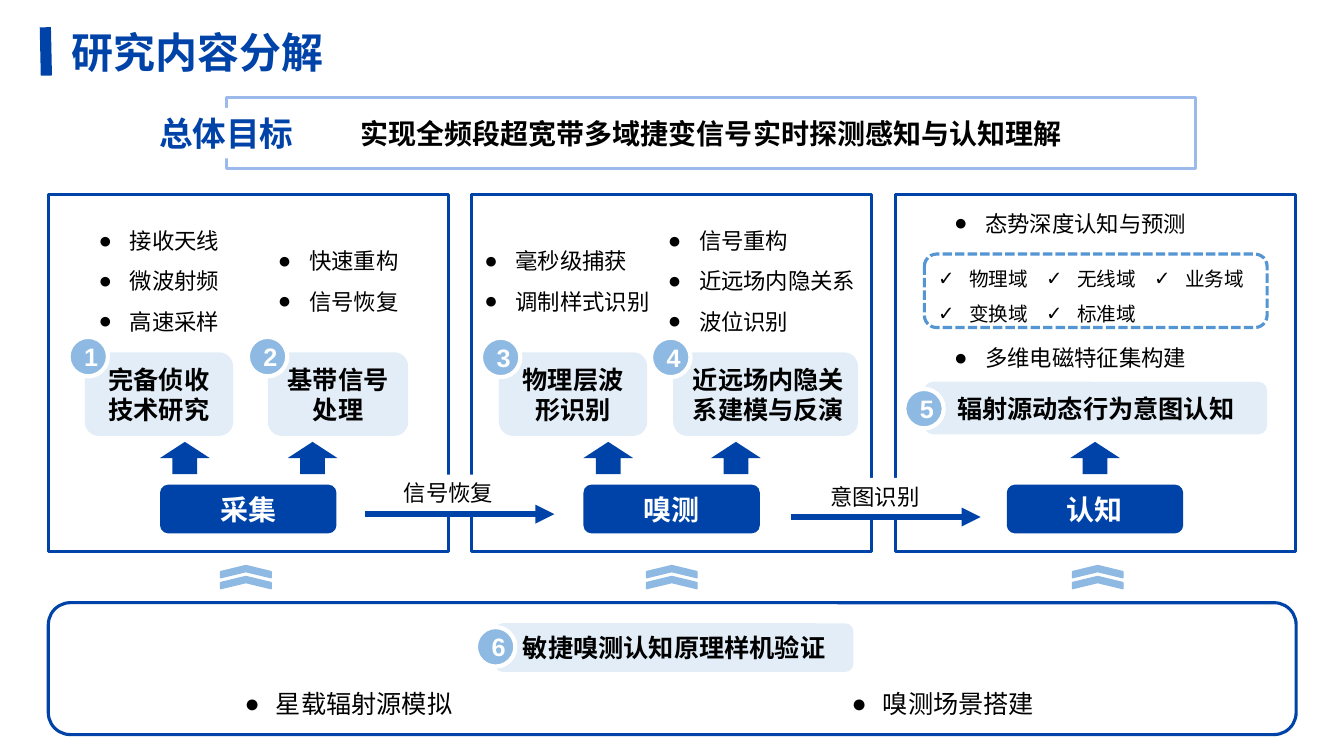
from dataclasses import dataclass
from typing import Optional

import lxml.etree
import pptx
import pptx.dml.color
import pptx.enum.dml
import pptx.enum.shapes
import pptx.enum.text
import pptx.oxml.ns
import pptx.util

COLORS = {
    "navy": "0043A8", "sky": "8DB9E2", "pale": "E2EDF7", "frame": "9CB9EB",
    "dash": "5495D3", "white": "FFFFFF", "black": "000000",
}
CJK = "Noto Sans CJK SC"
PRESET = pptx.enum.shapes.MSO_SHAPE
ALIGN = pptx.enum.text.PP_ALIGN
ANCHOR = pptx.enum.text.MSO_ANCHOR
COLUMNS, ROWS = 160, 90
PANEL_LEFT, PANEL_PITCH = 5.76, 50.4

presentation = pptx.Presentation()
presentation.slide_width = pptx.util.Inches(13.33)
presentation.slide_height = pptx.util.Inches(7.5)
slide = presentation.slides.add_slide(presentation.slide_layouts.get_by_name("Comparison"))


@dataclass
class Box:
    column: float
    row: float
    width: float
    height: float

    def emu(self) -> tuple[int, int, int, int]:
        across = presentation.slide_width / COLUMNS
        down = presentation.slide_height / ROWS
        return (round(self.column * across), round(self.row * down),
                round(self.width * across), round(self.height * down))


@dataclass
class Style:
    size: float = 18
    bold: bool = True
    color: str = "black"
    font: str = CJK
    align: ALIGN = ALIGN.CENTER
    anchor: ANCHOR = ANCHOR.MIDDLE
    spacing: float = 1.0
    bullet: Optional[str] = None
    gap: float = 0


@dataclass
class Topic:
    text: str
    box: Box
    badge_column: float
    badge_row: float
    align: ALIGN = ALIGN.CENTER


@dataclass
class Flow:
    text: str
    column: float
    row: float
    arrow_row: float


def rgb(name: str) -> pptx.dml.color.RGBColor:
    return pptx.dml.color.RGBColor.from_string(COLORS[name])


def add_child(parent, tag: str, **attributes: str) -> None:
    lxml.etree.SubElement(parent, pptx.oxml.ns.qn(tag), attributes)


def write(shape, lines: list[str], style: Style) -> None:
    frame = shape.text_frame
    frame.text = "\n".join(lines)
    frame.word_wrap = True
    frame.auto_size = pptx.enum.text.MSO_AUTO_SIZE.NONE
    frame.vertical_anchor = style.anchor
    for index, paragraph in enumerate(frame.paragraphs):
        paragraph.alignment = style.align
        paragraph.line_spacing = style.spacing
        paragraph.space_before = pptx.util.Pt(style.gap if index else 0)
        paragraph.font.size = pptx.util.Pt(style.size)
        paragraph.font.bold = style.bold
        paragraph.font.name = style.font
        paragraph.font.color.rgb = rgb(style.color)
        properties = paragraph._p.get_or_add_pPr()
        add_child(properties.find(pptx.oxml.ns.qn("a:defRPr")), "a:ea", typeface=CJK)
        if style.bullet:
            indent = pptx.util.Inches(0.31)
            properties.set("marL", str(indent))
            properties.set("indent", str(-indent))
            default = properties.find(pptx.oxml.ns.qn("a:defRPr"))
            for tag, attribute, value in (("a:buFont", "typeface", "Arial"),
                                          ("a:buChar", "char", style.bullet)):
                element = lxml.etree.Element(pptx.oxml.ns.qn(tag), {attribute: value})
                default.addprevious(element)


def add_block(preset: PRESET, box: Box, fill: Optional[str] = None,
              line: Optional[str] = None, weight: float = 2.25):
    shape = slide.shapes.add_shape(preset, *box.emu())
    shape.shadow.inherit = False
    if fill:
        shape.fill.solid()
        shape.fill.fore_color.rgb = rgb(fill)
    else:
        shape.fill.background()
    if line:
        shape.line.color.rgb = rgb(line)
        shape.line.width = pptx.util.Pt(weight)
    else:
        shape.line.fill.background()
    return shape


def add_line(start: Box, weight: float, arrow: bool = False) -> None:
    left, top, width, height = start.emu()
    connector = slide.shapes.add_connector(
        pptx.enum.shapes.MSO_CONNECTOR.STRAIGHT, left, top, left + width, top + height)
    connector.line.color.rgb = rgb("navy")
    connector.line.width = pptx.util.Pt(weight)
    if arrow:
        add_child(connector.line._get_or_add_ln(), "a:tailEnd", type="triangle")
    add_child(connector._element.spPr, "a:effectLst")


def add_list(box: Box, lines: list[str], style: Style) -> None:
    write(slide.shapes.add_textbox(*box.emu()), lines, style)


def fill_placeholder(shape, box: Box, lines: list[str], style: Style) -> None:
    shape.left, shape.top, shape.width, shape.height = box.emu()
    write(shape, lines, style)


def add_topic(number: int, topic: Topic) -> None:
    label = add_block(PRESET.ROUNDED_RECTANGLE, topic.box, "pale")
    write(label, [topic.text], Style(align=topic.align))
    badge = add_block(PRESET.FLOWCHART_CONNECTOR,
                      Box(topic.badge_column, topic.badge_row, 4.7, 4.7), "sky", "white", 3)
    write(badge, [str(number)], Style(color="white", font="Arial"))


BULLETS = Style(16, False, align=ALIGN.LEFT, spacing=1.5, bullet="●")
CENTERED = Style(16, False, spacing=1.5, bullet="●")
SPREAD = Style(16, False, align=ALIGN.LEFT, bullet="●", gap=77)
CHECKS = Style(14, False, align=ALIGN.LEFT, anchor=ANCHOR.TOP, spacing=1.5, bullet="✓")
BOTTOM = Style(18, False, align=ALIGN.LEFT, anchor=ANCHOR.TOP, bullet="●")

PANELS = [("采集", [13.3, 28.5]), ("嗅测", [13.3, 28.5]), ("认知", [20.85])]
PANEL_LISTS = [
    (Box(9.5, 25.7, 18.85, 13.9), ["接收天线", "微波射频", "高速采样"], CENTERED),
    (Box(30.85, 25.7, 18.85, 13.9), ["快速重构", "信号恢复"], CENTERED),
    (Box(56.45, 25.7, 22.7, 13.9), ["毫秒级捕获", "调制样式识别"], BULLETS),
    (Box(78.3, 25.7, 25.2, 13.9), ["信号重构", "近远场内隐关系", "波位识别"], BULLETS),
]
TOPICS = [
    Topic("完备侦收技术研究", Box(10.1, 41.95, 17.65, 9.95), 8.15, 40.1),
    Topic("基带信号处理", Box(31.9, 41.95, 16.7, 9.95), 29.5, 40.1),
    Topic("物理层波形识别", Box(59.4, 41.95, 17.65, 9.95), 57.25, 40.2),
    Topic("近远场内隐关系建模与反演", Box(80.15, 41.95, 22, 9.95), 77.5, 40.2, ALIGN.RIGHT),
    Topic("辐射源动态行为意图认知", Box(110.05, 45.45, 40.8, 6.25), 107.65, 46.3),
    Topic("敏捷嗅测认知原理样机验证", Box(58.9, 74.2, 42.7, 5.8), 56.65, 74.65),
]
FLOWS = [Flow("信号恢复", 43.2, 56.5, 61.2), Flow("意图识别", 93.95, 56.9, 61.55)]
DOMAINS = [["物理域", "变换域"], ["无线域", "标准域"], ["业务域"]]

fill_placeholder(slide.shapes.title, Box(8.5, 1.1, 34, 10), ["研究内容分解"],
                 Style(30, color="navy", align=ALIGN.LEFT))
slide.shapes.title.text_frame.margin_left = 0
add_line(Box(5.4, 3.25, 0.12, 5.75), 8)

goal = add_block(PRESET.RECTANGLE, Box(27, 11.65, 115.3, 8.4), line="frame")
write(goal, ["实现全频段超宽带多域捷变信号实时探测感知与认知理解"], Style(20))
goal_label = add_block(PRESET.RECTANGLE, Box(17.65, 12.85, 18.6, 6), "white")
write(goal_label, ["总体目标"], Style(24, color="navy"))

for index, (name, arrows) in enumerate(PANELS):
    left = PANEL_LEFT + index * PANEL_PITCH
    add_block(PRESET.RECTANGLE, Box(left, 23.15, 47.64, 42.5), line="navy")
    button = add_block(PRESET.ROUNDED_RECTANGLE, Box(left + 13.3, 57.7, 21, 5.8), "navy")
    write(button, [name], Style(20, color="white"))
    for offset in arrows:
        add_block(PRESET.UP_ARROW, Box(left + offset, 52.6, 5.9, 3.85), "navy")
    for row in (65.05, 66.35):
        chevron = add_block(PRESET.CHEVRON, Box(28.55 + 50.7 * index, row, 1.45, 6), "sky", "sky", 1)
        chevron.rotation = 270

bodies = [shape for shape in slide.placeholders if shape.placeholder_format.idx]
for body, (box, lines, style) in zip(bodies, PANEL_LISTS):
    fill_placeholder(body, box, lines, style)

add_block(PRESET.ROUNDED_RECTANGLE, Box(110.05, 30.25, 40.8, 8.75),
          line="dash").line.dash_style = pptx.enum.dml.MSO_LINE.SQUARE_DOT
add_list(Box(112.4, 24.1, 36, 21), ["态势深度认知与预测", "多维电磁特征集构建"], SPREAD)
for index, domains in enumerate(DOMAINS):
    add_list(Box(110.5 + 12.85 * index, 29.75, 14.2, 9.25), domains, CHECKS)

for flow in FLOWS:
    label = add_block(PRESET.RECTANGLE, Box(flow.column, flow.row, 20.4, 4.45), "white")
    write(label, [flow.text], Style(16, False, anchor=ANCHOR.TOP))
    add_line(Box(flow.column + 0.25, flow.arrow_row, 22.55, 0), 4.5, arrow=True)

add_block(PRESET.ROUNDED_RECTANGLE, Box(5.75, 71.75, 148.55, 15.7), line="navy")
for column, text in ((27.95, "星载辐射源模拟"), (100.2, "嗅测场景搭建")):
    add_list(Box(column, 81.35, 30.1, 4.8), [text], BOTTOM)
for number, topic in enumerate(TOPICS, 1):
    add_topic(number, topic)

presentation.save("out.pptx")
